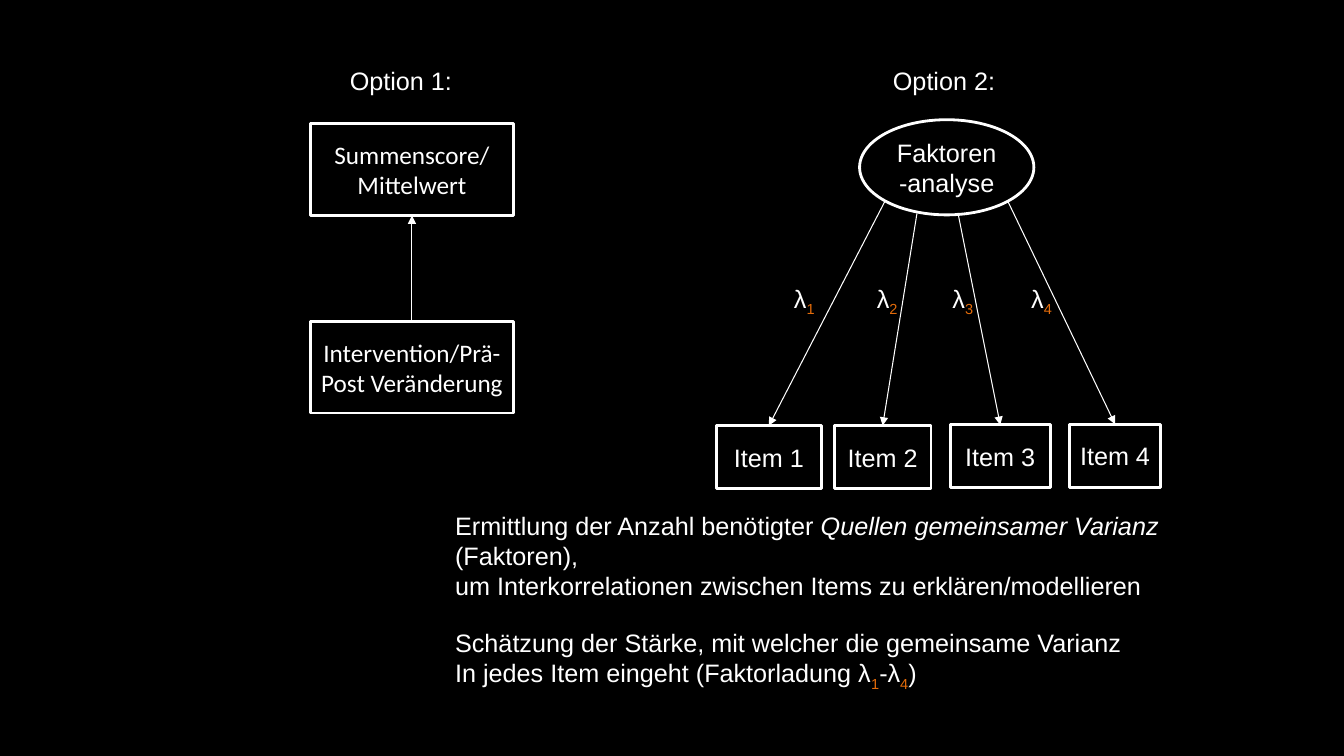
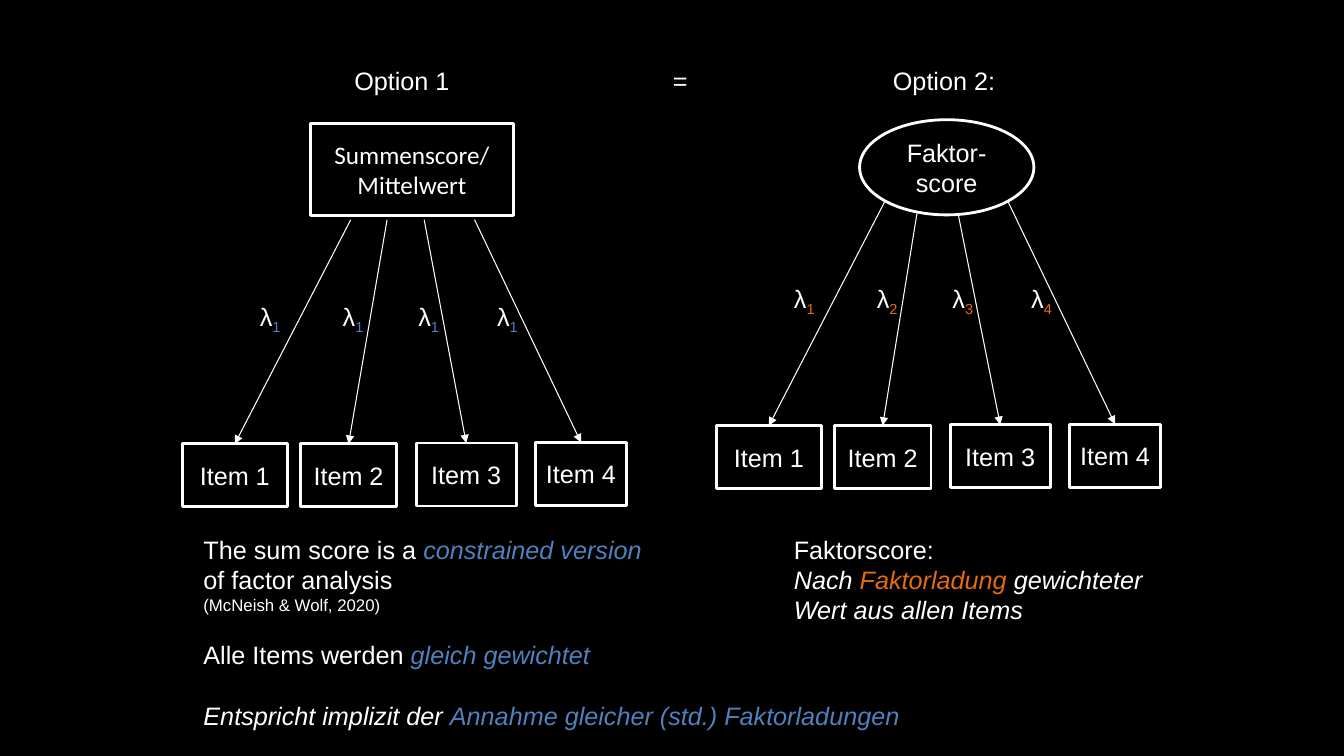
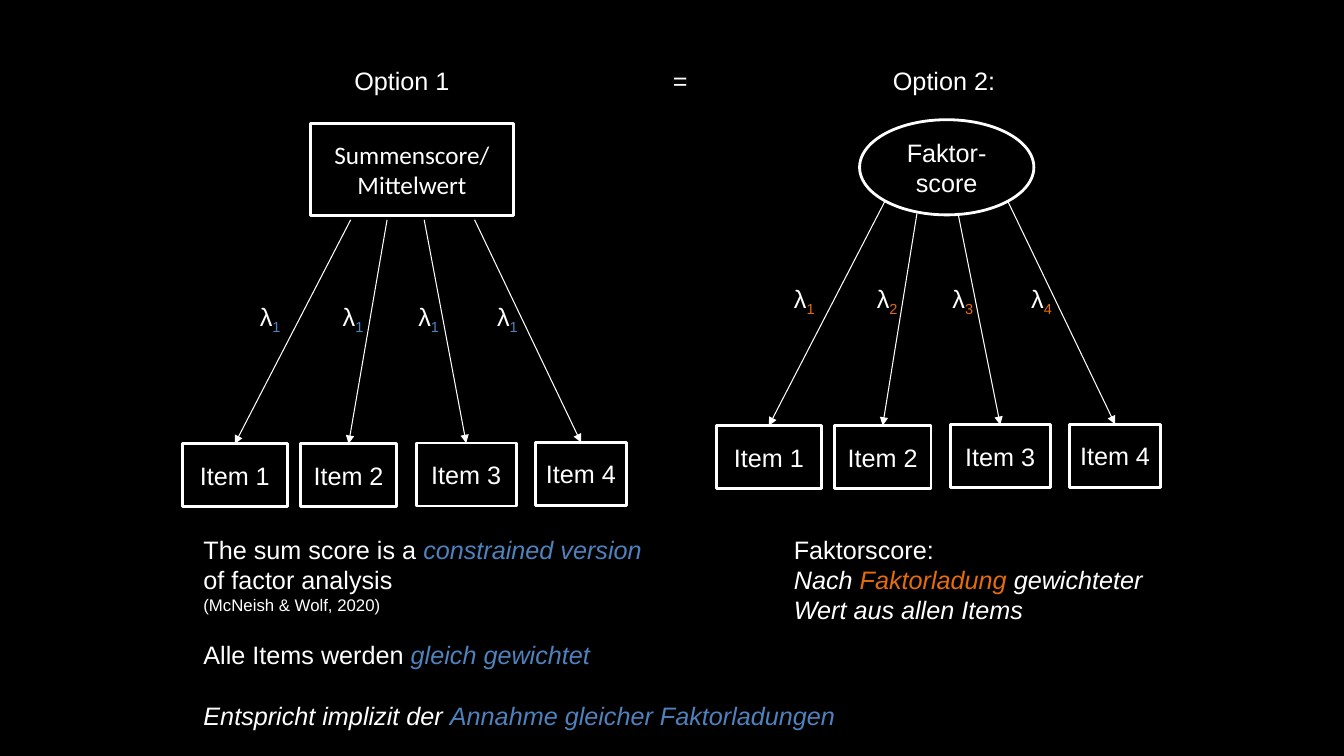
from dataclasses import dataclass

from lxml import etree
from pptx import Presentation
from pptx.dml.color import RGBColor
from pptx.enum.shapes import MSO_CONNECTOR, MSO_SHAPE
from pptx.enum.text import MSO_ANCHOR, MSO_AUTO_SIZE, PP_ALIGN
from pptx.oxml.ns import qn
from pptx.util import Pt

RECTANGLE, ELLIPSE = MSO_SHAPE.RECTANGLE, MSO_SHAPE.OVAL
STRAIGHT = MSO_CONNECTOR.STRAIGHT
LEFT, CENTER = PP_ALIGN.LEFT, PP_ALIGN.CENTER
MIDDLE = MSO_ANCHOR.MIDDLE
GROW = MSO_AUTO_SIZE.SHAPE_TO_FIT_TEXT


@dataclass(frozen=True)
class Theme:
    background: RGBColor = RGBColor(0, 0, 0)
    foreground: RGBColor = RGBColor(255, 255, 255)
    blue: RGBColor = RGBColor(0x4F, 0x81, 0xBD)
    orange: RGBColor = RGBColor(0xE4, 0x6C, 0x0A)
    font: str = "Arial"
    score_font: str = "Calibri"
    size: float = 18
    citation_size: float = 12
    outline: float = 2
    arrow: float = 0.75


theme = Theme()
ITALIC = {"italic": True}
CITATION = {"size": theme.citation_size}
BLUE_ITALIC = {"italic": True, "color": theme.blue}
ORANGE_ITALIC = {"italic": True, "color": theme.orange}
BLUE_INDEX = {"subscript": True, "color": theme.blue}
ORANGE_INDEX = {"subscript": True, "color": theme.orange}


def add_text(slide, paragraphs, box, *, outline=None, font=theme.font, gap=0):
    """Add paragraphs of (text, format) runs, in a text box or an outlined shape.

    gap is the space before every paragraph but the first.
    """
    bounds = [Pt(length) for length in box]
    if outline is None:
        shape = slide.shapes.add_textbox(*bounds)
        shape.text_frame.auto_size = GROW
    else:
        shape = slide.shapes.add_shape(outline, *bounds)
        shape.shadow.inherit = False
        shape.fill.background()
        shape.line.color.rgb = theme.foreground
        shape.line.width = Pt(theme.outline)
        shape.text_frame.vertical_anchor = MIDDLE
    frame = shape.text_frame
    frame.word_wrap = True
    for index, runs in enumerate(paragraphs):
        paragraph = frame.add_paragraph() if index else frame.paragraphs[0]
        paragraph.alignment = CENTER if outline is not None else LEFT
        if index and gap:
            paragraph.space_before = Pt(gap)
        for text, style in runs:
            run = paragraph.add_run()
            run.text = text
            run.font.name = font
            run.font.size = Pt(style.get("size", theme.size))
            run.font.italic = style.get("italic", False)
            run.font.color.rgb = style.get("color", theme.foreground)
            if style.get("subscript"):
                run._r.get_or_add_rPr().set("baseline", "-25000")


def add_arrow(slide, start_x, start_y, end_x, end_y):
    ends = [Pt(length) for length in (start_x, start_y, end_x, end_y)]
    arrow = slide.shapes.add_connector(STRAIGHT, *ends)
    arrow.line.color.rgb = theme.foreground
    arrow.line.width = Pt(theme.arrow)
    properties = arrow._element.spPr
    etree.SubElement(properties.find(qn("a:ln")), qn("a:tailEnd"), type="triangle")
    etree.SubElement(properties, qn("a:effectLst"))


presentation = Presentation()
presentation.slide_width, presentation.slide_height = Pt(960), Pt(540)
background = presentation.slide_master.background.fill
background.solid()
background.fore_color.rgb = theme.background
blank_layout = presentation.slide_layouts[6]

# Boxes are left, top, width, height in points
SCORE_BOX = (221.5, 88.5, 145.5, 65.5)
INTERVENTION_BOX = (221.5, 229.5, 145.5, 65.5)
FACTOR_BOX = (614, 85.5, 124.5, 68)
HEADING_TOP, HEADING_HEIGHT = 43, 29

# Item boxes (left, top, width) and loading labels (left) of the factor model
ITEMS = [(511.75, 304, 75), (596, 304, 69), (678.75, 303.5, 71.5), (763.75, 303, 65.5)]
ITEM_HEIGHT = 45
LOADING_LEFTS = [560, 619.25, 673.25, 729.5]
LOADING_TOP = 198.75

# Each fan: shift from the factor model, arrow starts, loading indices and their format
factor_fan = ((0, 0), [(632, 144), (655, 152.5), (684.25, 152), (720, 144)],
              "1234", ORANGE_INDEX)
score_fan = ((-381.5, 13), [(250.5, 157), (276.5, 157), (303, 157), (339, 157)],
             "1111", BLUE_INDEX)

intervention_notes = [
    ((318, 360.75, 591, 73), 0, [
        [("Ermittlung der Anzahl benötigter ", {}),
         ("Quellen gemeinsamer Varianz ", ITALIC), ("(Faktoren),", {})],
        [("um Interkorrelationen zwischen Items zu erklären/modellieren", {})]]),
    ((318, 444.5, 591, 51), 0, [
        [("Schätzung der Stärke, mit welcher die gemeinsame Varianz", {})],
        [("In jedes Item eingeht (Faktorladung λ", {}), ("1", ORANGE_INDEX),
         ("-λ", {}), ("4", ORANGE_INDEX), (")", {})]]),
]
comparison_notes = [
    ((138.25, 378, 329, 65.5), 0, [
        [("The sum score is a ", {}), ("constrained version ", BLUE_ITALIC),
         ("of factor analysis", {})],
        [("(McNeish & Wolf, 2020)", CITATION)]]),
    ((560, 378, 380, 73), 0, [
        [("Faktorscore:", {})],
        [("Nach ", ITALIC), ("Faktorladung", ORANGE_ITALIC), (" gewichteter", ITALIC)],
        [("Wert aus allen Items", ITALIC)]]),
]
equal_weight_notes = [
    ((138.25, 452.75, 563, 73), 22, [
        [("Alle Items werden ", {}), ("gleich gewichtet", BLUE_ITALIC)],
        [("Entspricht implizit der ", ITALIC), (assumption, BLUE_ITALIC)]])
    for assumption in ("Annahme gleicher (std.) Faktorladungen",
                       "Annahme gleicher Faktorladungen")
]

option_2 = ("Option 2:", 630.75)
comparison_headings = [("Option 1", 246), ("=", 473.5), option_2]

# Each slide: headings with their left edge, factor label, fans, notes
slides = [([("Option 1:", 242.75), option_2], "Faktoren-analyse",
           [factor_fan], intervention_notes)]
for note in equal_weight_notes:
    slides.append((comparison_headings, "Faktor-score",
                   [score_fan, factor_fan], comparison_notes + [note]))

for headings, factor_label, fans, notes in slides:
    slide = presentation.slides.add_slide(blank_layout)

    for heading, left in headings:
        add_text(slide, [[(heading, {})]], (left, HEADING_TOP, 95, HEADING_HEIGHT))

    add_text(slide, [[("Summenscore/", {})], [("Mittelwert", {})]], SCORE_BOX,
             outline=RECTANGLE, font=theme.score_font)
    add_text(slide, [[(factor_label, {})]], FACTOR_BOX, outline=ELLIPSE)

    if score_fan not in fans:
        add_text(slide, [[("Intervention/Prä-Post Veränderung", {})]], INTERVENTION_BOX,
                 outline=RECTANGLE, font=theme.score_font)
        left, top, width, height = SCORE_BOX
        center = left + width / 2
        add_arrow(slide, center, INTERVENTION_BOX[1], center, top + height)

    for (shift_x, shift_y), starts, indices, index_style in fans:
        parts = zip(ITEMS, starts, LOADING_LEFTS, indices)
        for number, (item, start, loading_left, index) in enumerate(parts, 1):
            left, top, width = item[0] + shift_x, item[1] + shift_y, item[2]
            add_text(slide, [[(f"Item {number}", {})]], (left, top, width, ITEM_HEIGHT),
                     outline=RECTANGLE)
            add_arrow(slide, *start, left + width / 2, top)
            add_text(slide, [[("λ", {}), (index, index_style)]],
                     (loading_left + shift_x, LOADING_TOP + shift_y, 56, 29))

    for box, gap, paragraphs in notes:
        add_text(slide, paragraphs, box, gap=gap)

presentation.save("out.pptx")
